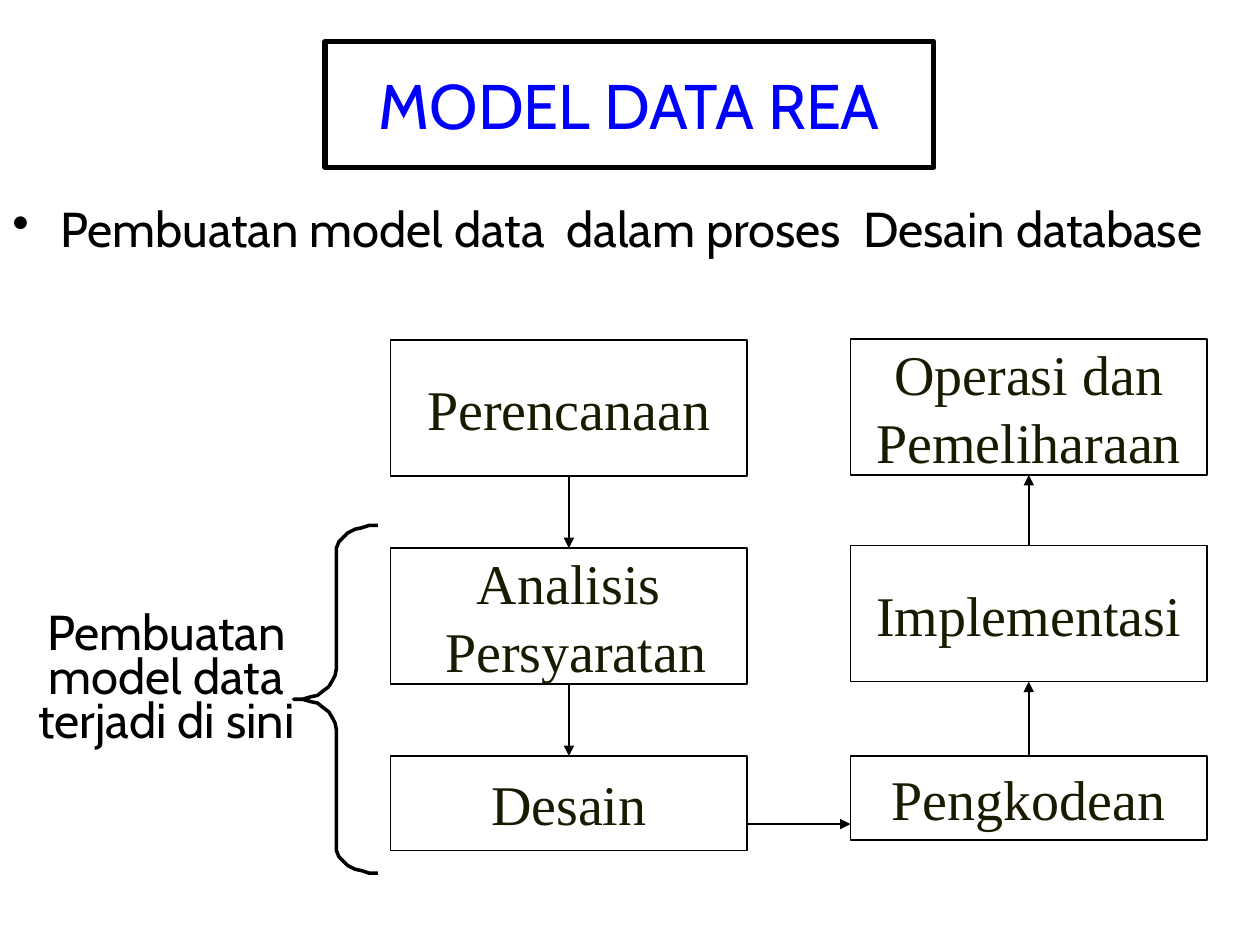
from lxml.etree import SubElement
from pptx import Presentation
from pptx.dml.color import RGBColor
from pptx.enum.shapes import MSO_CONNECTOR as Connector, MSO_SHAPE as Shape
from pptx.enum.text import MSO_ANCHOR as Anchor, PP_ALIGN as Align
from pptx.oxml.ns import qn
from pptx.util import Inches, Pt

COLORS = {"ink": "000000", "paper": "FFFFFF", "title": "0000FF", "step": "1A1A00"}
TITLE = "MODEL DATA REA"
BULLET = "Pembuatan model data  dalam proses  Desain database"
BRACE_LABEL = "Pembuatan model data terjadi di sini"

BOX_WIDTH = 2.83
LEFT, RIGHT = 3.1, 6.75
STEPS = [
    (["Perencanaan"], LEFT, 2.7, 1.08),
    (["Analisis", " Persyaratan"], LEFT, 4.35, 1.08),
    (["Desain"], LEFT, 6, 0.75),
    (["Pengkodean"], RIGHT, 6, 0.67),
    (["Implementasi"], RIGHT, 4.33, 1.08),
    (["Operasi dan", "Pemeliharaan"], RIGHT, 2.69, 1.08),
]
TURN_Y = 6.54
BRACE_MIDDLE = 5.55
BRACE_UPPER_HALF = [
    (3, 4.17), (2.93, 4.17), (2.87, 4.19), (2.82, 4.2), (2.76, 4.23), (2.72, 4.27),
    (2.69, 4.3), (2.67, 4.35), (2.67, 4.39), (2.67, 5.31), (2.66, 5.36), (2.64, 5.4),
    (2.61, 5.45), (2.57, 5.48), (2.52, 5.52), (2.47, 5.53), (2.4, 5.55), (2.33, 5.55),
]


def color(name):
    return RGBColor.from_string(COLORS[name])


def write(shape, lines, size, font="Cabin", ink="ink", align=Align.CENTER,
          anchor=Anchor.TOP, wrap=True, spacing=None, before=None):
    frame = shape.text_frame
    frame.word_wrap = wrap
    frame.vertical_anchor = anchor
    for index, line in enumerate(lines):
        paragraph = frame.add_paragraph() if index else frame.paragraphs[0]
        paragraph.alignment = align
        paragraph.line_spacing = spacing
        if before is not None:
            paragraph.space_before = Pt(before)
        run = paragraph.add_run()
        run.text = line
        run.font.size = Pt(size)
        run.font.name = font
        run.font.color.rgb = color(ink)


def add_box(slide, left, top, width, height, line_width, fill=None):
    shape = slide.shapes.add_shape(Shape.RECTANGLE, *map(Inches, (left, top, width, height)))
    shape.shadow.inherit = False
    if fill:
        shape.fill.solid()
        shape.fill.fore_color.rgb = color(fill)
    else:
        shape.fill.background()
    shape.line.color.rgb = color("ink")
    shape.line.width = Pt(line_width)
    return shape


def add_text(slide, left, top, width, height):
    return slide.shapes.add_textbox(*map(Inches, (left, top, width, height)))


def add_bullet(paragraph, indent):
    properties = paragraph._p.get_or_add_pPr()
    properties.set("marL", str(Inches(indent)))
    properties.set("indent", str(-Inches(indent)))
    SubElement(properties, qn("a:buChar")).set("char", "•")


def add_arrow(slide, start, end):
    arrow = slide.shapes.add_connector(Connector.STRAIGHT, *map(Inches, start + end))
    arrow.line.color.rgb = color("ink")
    arrow.line.width = Pt(1)
    SubElement(arrow.line._get_or_add_ln(), qn("a:tailEnd")).set("type", "triangle")
    SubElement(arrow._element.spPr, qn("a:effectLst"))


def add_brace(slide):
    lower_half = [(x, 2 * BRACE_MIDDLE - y) for x, y in BRACE_UPPER_HALF[-2::-1]]
    points = [(Inches(x), Inches(y)) for x, y in BRACE_UPPER_HALF + lower_half]
    builder = slide.shapes.build_freeform(*points[0])
    builder.add_line_segments(points[1:], close=False)
    brace = builder.convert_to_shape()
    brace.shadow.inherit = False
    brace.fill.background()
    brace.line.color.rgb = color("ink")
    brace.line.width = Pt(2)


def add_flow(slide):
    for lines, left, top, height in STEPS:
        box = add_box(slide, left, top, BOX_WIDTH, height, 1, fill="paper")
        write(box, lines, 32, font="Times New Roman", ink="step",
              anchor=Anchor.MIDDLE, wrap=False)
    for (_, left, top, height), (_, next_left, next_top, next_height) in zip(STEPS, STEPS[1:]):
        center = left + BOX_WIDTH / 2
        if next_left != left:
            add_arrow(slide, (left + BOX_WIDTH, TURN_Y), (next_left, TURN_Y))
        elif next_top > top:
            add_arrow(slide, (center, top + height), (center, next_top))
        else:
            add_arrow(slide, (center, top), (center, next_top + next_height))


def main():
    presentation = Presentation()
    presentation.slide_width, presentation.slide_height = Inches(10), Inches(7.5)
    slide = presentation.slides.add_slide(presentation.slide_layouts[6])

    body = add_text(slide, 0, 1.58, 10, 1)
    write(body, [BULLET], 28, align=Align.LEFT, spacing=0.9, before=7)
    add_bullet(body.text_frame.paragraphs[0], 0.38)

    add_flow(slide)
    label = add_text(slide, 0.17, 4.83, 2.3, 1.5)
    write(label, [BRACE_LABEL], 28, spacing=0.75, before=17.5)
    add_brace(slide)

    title = add_box(slide, 2.58, 0.33, 4.83, 1, 3)
    write(title, [TITLE], 36, ink="title", anchor=Anchor.MIDDLE)
    presentation.save("out.pptx")


if __name__ == "__main__":
    main()
